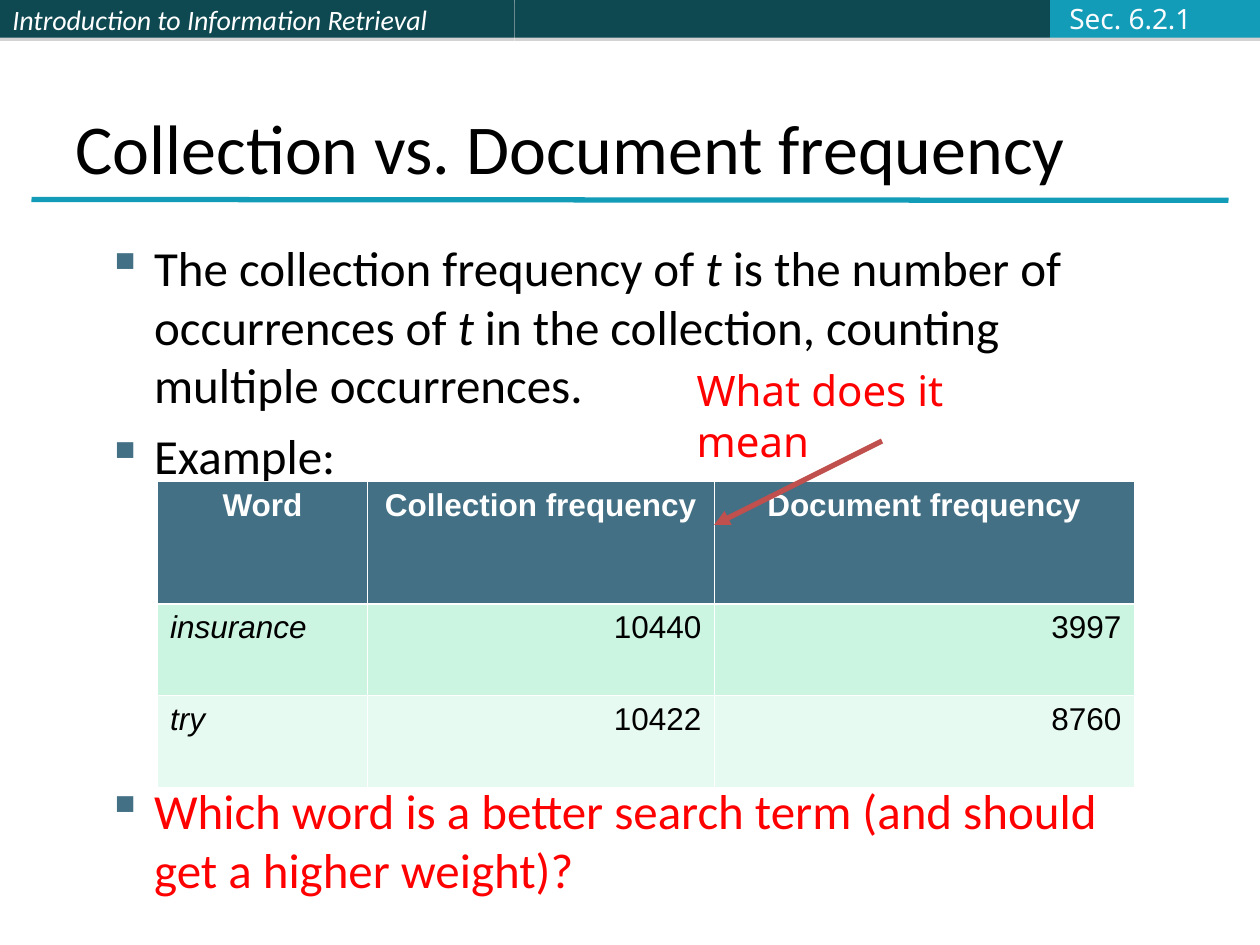
from dataclasses import dataclass
from typing import NamedTuple

from lxml.etree import SubElement
from pptx import Presentation
from pptx.dml.color import RGBColor
from pptx.enum.shapes import MSO_CONNECTOR as Connector, MSO_SHAPE as Preset
from pptx.enum.text import MSO_ANCHOR as Anchor, MSO_AUTO_SIZE as AutoSize, PP_ALIGN as Align
from pptx.oxml.ns import qn
from pptx.util import Pt


@dataclass(frozen=True)
class Theme:
    """Colours, fonts and type sizes of the slide."""
    dark: str = "0E4851"
    teal: str = "139CB7"
    slate: str = "437085"
    mint: str = "CBF5E1"
    pale_mint: str = "E7FAF1"
    arrow: str = "C0504D"
    red: str = "FF0000"
    white: str = "FFFFFF"
    section: str = "FBFCFF"
    shadow: str = "808080"
    black: str = "000000"
    main_font: str = "Calibri"
    note_font: str = "Noto Sans"
    table_font: str = "Arial"
    title_size: float = 40
    body_size: float = 28
    note_size: float = 24
    table_size: float = 18
    header_size: float = 16


THEME = Theme()


class Bar(NamedTuple):
    """One segment of the header strip."""
    width: float
    color: str
    text: str


class Bullet(NamedTuple):
    """A bullet as (text, italic) phrases."""
    phrases: list
    color: str
    space_before: float


class Label(NamedTuple):
    """A one-line text box."""
    text: str
    box: tuple
    size: float
    color: str
    anchor: Anchor


BARS = [
    Bar(294, THEME.dark, "Introduction to Information Retrieval"),
    Bar(306, THEME.dark, ""),
    Bar(120, THEME.teal, ""),
]
BULLETS = [
    Bullet([("The collection frequency of ", False), ("t", True),
            (" is the number of occurrences of ", False), ("t", True),
            (" in the collection, counting multiple occurrences.", False)], THEME.black, 7),
    Bullet([("Example:", False)], THEME.black, 7),
    Bullet([("Which word is a better search term (and should get a higher weight)?", False)],
           THEME.red, 169),
]
LABELS = [
    Label("Sec. 6.2.1", (604, -3, 84, 27), THEME.header_size, THEME.section, Anchor.MIDDLE),
    Label("What does it mean", (391, 205, 225, 36), THEME.note_size, THEME.red, Anchor.TOP),
]
ROWS = [
    ("Word", "Collection frequency", "Document frequency"),
    ("insurance", "10440", "3997"),
    ("try", "10422", "8760"),
]
COLUMN_WIDTHS = (120, 198, 240)
ROW_HEIGHTS = (70, 52.5, 52.5)
ROW_FILLS = (THEME.slate, THEME.mint, THEME.pale_mint)


def style(run, font: str, size: float, color: str, bold: bool = False, italic: bool = False) -> None:
    """Format a run."""
    run.font.name, run.font.size = font, Pt(size)
    run.font.bold, run.font.italic = bold, italic
    run.font.color.rgb = RGBColor.from_string(color)


def add_color(parent, color: str):
    """Append an RGB colour element."""
    return SubElement(parent, qn("a:srgbClr"), val=color)


def add_bars(slide) -> None:
    """Draw the header strip from left to right."""
    left = 0
    for bar in BARS:
        shape = slide.shapes.add_shape(Preset.RECTANGLE, Pt(left), Pt(0), Pt(bar.width), Pt(21.6))
        shape.fill.solid()
        shape.fill.fore_color.rgb = RGBColor.from_string(bar.color)
        shape.line.fill.background()
        shape.shadow.inherit = False
        effects = shape._element.spPr.find(qn("a:effectLst"))
        shadow = SubElement(effects, qn("a:outerShdw"), blurRad="0", dist=str(Pt(1.8)),
                            dir="5400000", rotWithShape="0")
        SubElement(add_color(shadow, THEME.shadow), qn("a:alpha"), val="35000")
        if bar.text:
            frame = shape.text_frame
            frame.text = bar.text
            frame.vertical_anchor = Anchor.MIDDLE
            frame.paragraphs[0].alignment = Align.LEFT
            style(frame.paragraphs[0].runs[0], THEME.main_font, THEME.header_size,
                  THEME.white, italic=True)
        left += bar.width


def add_line(slide, start: tuple, end: tuple, color: str, arrow: bool = False) -> None:
    """Draw a straight line, with an arrowhead if asked."""
    line = slide.shapes.add_connector(Connector.STRAIGHT, *map(Pt, start + end))
    line.line.color.rgb = RGBColor.from_string(color)
    line.line.width = Pt(3)
    if arrow:
        SubElement(line.line._get_or_add_ln(), qn("a:tailEnd"), type="triangle")
    SubElement(line._element.spPr, qn("a:effectLst"))


def add_title(slide, text: str) -> None:
    """Place and format the title."""
    title = slide.shapes.title
    title.left, title.top, title.width, title.height = map(Pt, (36, 21.6, 648, 90))
    frame = title.text_frame
    frame.text = text
    frame.auto_size = AutoSize.NONE
    frame.vertical_anchor = Anchor.BOTTOM
    frame.paragraphs[0].alignment = Align.LEFT
    style(frame.paragraphs[0].runs[0], THEME.main_font, THEME.title_size, THEME.black)


def add_bullets(slide) -> None:
    """Write the bulleted text around the table."""
    frame = slide.shapes.add_textbox(*map(Pt, (54, 132, 612, 384))).text_frame
    frame.word_wrap = True
    for index, bullet in enumerate(BULLETS):
        paragraph = frame.add_paragraph() if index else frame.paragraphs[0]
        paragraph.space_before = Pt(bullet.space_before)
        properties = paragraph._p.get_or_add_pPr()
        properties.set("marL", str(Pt(27)))
        properties.set("indent", str(-Pt(27)))
        add_color(SubElement(properties, qn("a:buClr")), THEME.slate)
        SubElement(properties, qn("a:buChar"), char="▪")
        for text, italic in bullet.phrases:
            run = paragraph.add_run()
            run.text = text
            style(run, THEME.main_font, THEME.body_size, bullet.color, italic=italic)


def set_borders(cell, row: int) -> None:
    """Give a cell white borders, thicker below the heading row."""
    properties = cell._tc.get_or_add_tcPr()
    thick_side = {0: "lnB", 1: "lnT"}.get(row)
    for index, side in enumerate(("lnL", "lnR", "lnT", "lnB")):
        width = 1.47 if side == thick_side else 0.45
        line = properties.makeelement(qn(f"a:{side}"), {"w": str(Pt(width))})
        add_color(SubElement(line, qn("a:solidFill")), THEME.white)
        properties.insert(index, line)


def add_frequency_table(slide) -> None:
    """Draw the table of word frequencies."""
    table = slide.shapes.add_table(len(ROWS), len(COLUMN_WIDTHS), Pt(90), Pt(275),
                                   Pt(sum(COLUMN_WIDTHS)), Pt(sum(ROW_HEIGHTS))).table
    for column, width in zip(table.columns, COLUMN_WIDTHS):
        column.width = Pt(width)
    for row, (values, height, fill) in enumerate(zip(ROWS, ROW_HEIGHTS, ROW_FILLS)):
        table.rows[row].height = Pt(height)
        heading = row == 0
        for column, value in enumerate(values):
            cell = table.cell(row, column)
            cell.fill.solid()
            cell.fill.fore_color.rgb = RGBColor.from_string(fill)
            set_borders(cell, row)
            cell.text_frame.text = value
            paragraph = cell.text_frame.paragraphs[0]
            paragraph.alignment = Align.CENTER if heading else Align.RIGHT if column else Align.LEFT
            style(paragraph.runs[0], THEME.table_font, THEME.table_size,
                  THEME.white if heading else THEME.black,
                  bold=heading, italic=not heading and column == 0)


def add_label(slide, label: Label) -> None:
    """Add an unwrapped text box."""
    frame = slide.shapes.add_textbox(*map(Pt, label.box)).text_frame
    frame.text = label.text
    frame.word_wrap = False
    frame.auto_size = AutoSize.SHAPE_TO_FIT_TEXT
    frame.vertical_anchor = label.anchor
    style(frame.paragraphs[0].runs[0], THEME.note_font, label.size, label.color)


presentation = Presentation()
presentation.slide_width, presentation.slide_height = Pt(720), Pt(540)
slide = presentation.slides.add_slide(presentation.slide_layouts[5])
add_bars(slide)
add_line(slide, (18, 114), (702, 114.5), THEME.teal)
add_title(slide, "Collection vs. Document frequency")
add_bullets(slide)
add_frequency_table(slide)
add_line(slide, (504, 252), (408, 300), THEME.arrow, arrow=True)
for label in LABELS:
    add_label(slide, label)
presentation.save("out.pptx")
